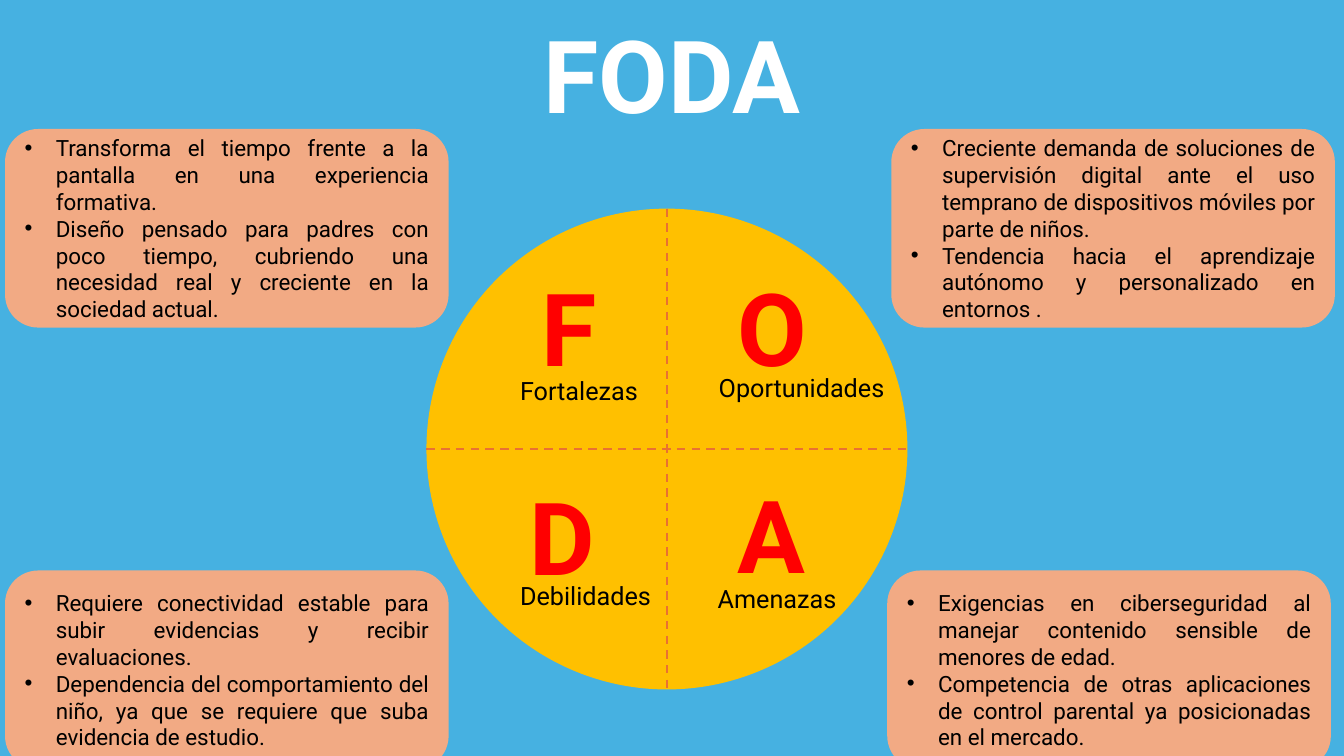
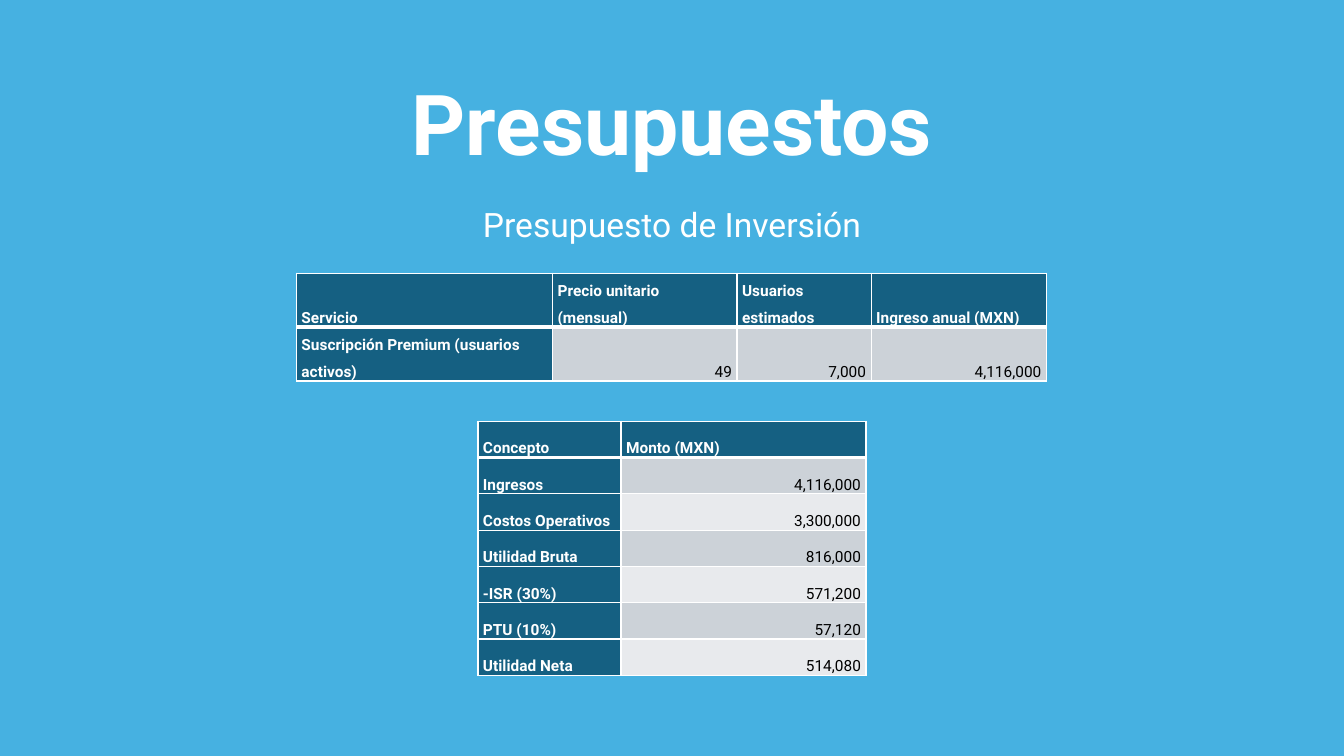
from lxml import etree
from pptx import Presentation
from pptx.dml.color import RGBColor
from pptx.enum.dml import MSO_LINE
from pptx.enum.shapes import MSO_CONNECTOR, MSO_SHAPE
from pptx.enum.text import MSO_ANCHOR, MSO_AUTO_SIZE, PP_ALIGN
from pptx.oxml.ns import qn
from pptx.util import Inches, Pt

FONT = "Roboto"
SKY = RGBColor(0x46, 0xB1, 0xE1)
PEACH = RGBColor(0xF2, 0xAA, 0x84)
GOLD = RGBColor(0xFF, 0xC0, 0x00)
ORANGE = RGBColor(0xE9, 0x71, 0x32)
RED = RGBColor(0xFF, 0x00, 0x00)
TEAL = RGBColor(0x15, 0x60, 0x82)
BANDS = (RGBColor(0xCC, 0xD2, 0xD8), RGBColor(0xE8, 0xEA, 0xED))
WHITE = RGBColor(0xFF, 0xFF, 0xFF)
BLACK = RGBColor(0x00, 0x00, 0x00)

LEFT, CENTER, RIGHT = PP_ALIGN.LEFT, PP_ALIGN.CENTER, PP_ALIGN.RIGHT
JUSTIFY = PP_ALIGN.JUSTIFY
TOP, MIDDLE, BOTTOM = MSO_ANCHOR.TOP, MSO_ANCHOR.MIDDLE, MSO_ANCHOR.BOTTOM
RECTANGLE, ROUNDED, OVAL = MSO_SHAPE.RECTANGLE, MSO_SHAPE.ROUNDED_RECTANGLE, MSO_SHAPE.OVAL
STRAIGHT, DASH = MSO_CONNECTOR.STRAIGHT, MSO_LINE.DASH
FIXED_SIZE = MSO_AUTO_SIZE.NONE

SLIDE_WIDTH, SLIDE_HEIGHT = 13.33, 7.5
TITLE_ONLY, TITLE_AND_SUBTITLE = 5, 0
CARD_WIDTH, CARD_HEIGHT = 4.4, 1.97
WHEEL_LEFT, WHEEL_TOP, WHEEL_SIZE = 4.23, 2.07, 4.77

CARDS = [
    (0.05, 1.28, [
        "Transforma el tiempo frente a la pantalla en una experiencia formativa.",
        "Diseño pensado para padres con poco tiempo, cubriendo una necesidad real y creciente en la sociedad actual.",
    ]),
    (8.84, 1.28, [
        "Creciente demanda de soluciones de supervisión digital ante el uso temprano de dispositivos móviles por parte de niños.",
        "Tendencia hacia el aprendizaje autónomo y personalizado en entornos .",
    ]),
    (0.05, 5.66, [
        "Requiere conectividad estable para subir evidencias y recibir evaluaciones.",
        "Dependencia del comportamiento del niño, ya que se requiere que suba evidencia de estudio.",
    ]),
    (8.8, 5.66, [
        "Exigencias en ciberseguridad al manejar contenido sensible de menores de edad.",
        "Competencia de otras aplicaciones de control parental ya posicionadas en el mercado.",
    ]),
]

# Letter with its left and top, then label with its left, top and width
QUADRANTS = [
    ("F", 5.27, 2.82, "Fortalezas", 5.06, 3.53, 1.84),
    ("O", 7.22, 2.82, "Oportunidades", 7.03, 3.5, 2.49),
    ("D", 5.15, 4.89, "Debilidades", 5.06, 5.57, 1.84),
    ("A", 7.22, 4.87, "Amenazas", 7.02, 5.6, 1.5),
]

INCOME = [
    ("Servicio", "Precio unitario (mensual)", "Usuarios estimados", "Ingreso anual (MXN)"),
    ("Suscripción Premium (usuarios activos)", "49", "7,000", "4,116,000"),
]

RESULTS = [
    ("Concepto", "Monto (MXN)"),
    ("Ingresos", "4,116,000"),
    ("Costos Operativos", "3,300,000"),
    ("Utilidad Bruta", "816,000"),
    ("-ISR (30%)", "571,200"),
    ("PTU (10%)", "57,120"),
    ("Utilidad Neta", "514,080"),
]


def inches(*values):
    return [Inches(value) for value in values]


def add_bullet(paragraph):
    properties = paragraph._p.get_or_add_pPr()
    properties.set("marL", str(Inches(0.31)))
    properties.set("indent", str(-Inches(0.31)))
    etree.SubElement(properties, qn("a:buFont"), typeface="Arial")
    etree.SubElement(properties, qn("a:buChar"), char="•")


def write_text(frame, *texts, size, color=BLACK, bold=False, align=LEFT,
               anchor=MIDDLE, bullets=False, line_spacing=1.0, space_after=0):
    """Fill a text frame with one paragraph for each text."""
    frame.word_wrap = True
    frame.vertical_anchor = anchor
    for index, text in enumerate(texts):
        paragraph = frame.add_paragraph() if index else frame.paragraphs[0]
        paragraph.alignment = align
        paragraph.line_spacing = line_spacing
        paragraph.space_before = Pt(0)
        paragraph.space_after = Pt(space_after)
        if bullets:
            add_bullet(paragraph)
        run = paragraph.add_run()
        run.text = text
        run.font.name = FONT
        run.font.size = Pt(size)
        run.font.bold = bold
        run.font.color.rgb = color


def fill_placeholder(placeholder, text, box, **text_format):
    """Move a placeholder to the box and write white centred text in it."""
    placeholder.left, placeholder.top, placeholder.width, placeholder.height = inches(*box)
    placeholder.text_frame.auto_size = FIXED_SIZE
    write_text(placeholder.text_frame, text, color=WHITE, align=CENTER, **text_format)


def add_title(slide, text, top, size):
    fill_placeholder(slide.shapes.title, text, (0, top, SLIDE_WIDTH, 1.89), size=size, bold=True)


def add_filled_shape(shapes, kind, box, color):
    shape = shapes.add_shape(kind, *inches(*box))
    shape.shadow.inherit = False
    shape.fill.solid()
    shape.fill.fore_color.rgb = color
    shape.line.fill.background()
    return shape


def add_dashed_line(shapes, *ends):
    line = shapes.add_connector(STRAIGHT, *inches(*ends))
    line.line.color.rgb = ORANGE
    line.line.width = Pt(1.5)
    line.line.dash_style = DASH
    etree.SubElement(line._element.spPr, qn("a:effectLst"))


def add_card(shapes, left, top, points):
    card = add_filled_shape(shapes, ROUNDED, (left, top, CARD_WIDTH, CARD_HEIGHT), PEACH)
    write_text(card.text_frame, *points, size=16, align=JUSTIFY, bullets=True)


def add_quadrant(shapes, letter, letter_left, letter_top, label, label_left, label_top, label_width):
    square = add_filled_shape(shapes, RECTANGLE, (letter_left, letter_top, 0.76, 0.84), GOLD)
    write_text(square.text_frame, letter, size=72, color=RED, bold=True)
    caption = shapes.add_textbox(*inches(label_left, label_top, label_width, 0.68))
    write_text(caption.text_frame, label, size=18)


def add_wheel(slide):
    """Draw the circle in four quarters as one group."""
    shapes = slide.shapes.add_group_shape().shapes
    right, bottom = WHEEL_LEFT + WHEEL_SIZE, WHEEL_TOP + WHEEL_SIZE
    middle_x, middle_y = WHEEL_LEFT + WHEEL_SIZE / 2, WHEEL_TOP + WHEEL_SIZE / 2
    add_filled_shape(shapes, OVAL, (WHEEL_LEFT, WHEEL_TOP, WHEEL_SIZE, WHEEL_SIZE), GOLD)
    add_dashed_line(shapes, middle_x, WHEEL_TOP, middle_x, bottom)
    add_dashed_line(shapes, WHEEL_LEFT, middle_y, right, middle_y)
    for quadrant in QUADRANTS:
        add_quadrant(shapes, *quadrant)


def set_borders(cell, bottom_width):
    """Give a cell white borders; they must come before its fill in the XML."""
    properties = cell._tc.get_or_add_tcPr()
    widths = {"a:lnL": 1, "a:lnR": 1, "a:lnT": 1, "a:lnB": bottom_width}
    for index, (tag, width) in enumerate(widths.items()):
        border = etree.Element(qn(tag), w=str(Pt(width)))
        fill = etree.SubElement(border, qn("a:solidFill"))
        etree.SubElement(fill, qn("a:srgbClr"), val=str(WHITE))
        properties.insert(index, border)


def format_cell(cell, text, row, column):
    is_heading = row == 0 or column == 0
    cell.margin_left = cell.margin_right = Inches(0.05)
    cell.margin_top = cell.margin_bottom = 0
    cell.vertical_anchor = BOTTOM
    cell.fill.solid()
    cell.fill.fore_color.rgb = TEAL if is_heading else BANDS[(row - 1) % 2]
    set_borders(cell, bottom_width=3 if row == 0 else 1)
    write_text(cell.text_frame, text, size=11, bold=is_heading, anchor=BOTTOM,
               color=WHITE if is_heading else BLACK,
               align=LEFT if is_heading else RIGHT,
               line_spacing=1.5, space_after=8)


def add_budget_table(slide, rows, left, top, column_widths, row_height):
    box = inches(left, top, sum(column_widths), row_height * len(rows))
    table = slide.shapes.add_table(len(rows), len(column_widths), *box).table
    table.horz_banding = False
    for column, width in zip(table.columns, column_widths):
        column.width = Inches(width)
    for row, texts in enumerate(rows):
        table.rows[row].height = Inches(row_height)
        for column, text in enumerate(texts):
            format_cell(table.cell(row, column), text, row, column)


def build_swot_slide(presentation):
    slide = presentation.slides.add_slide(presentation.slide_layouts[TITLE_ONLY])
    add_title(slide, "FODA", top=-0.22, size=72)
    for card in CARDS:
        add_card(slide.shapes, *card)
    add_wheel(slide)


def build_budget_slide(presentation):
    slide = presentation.slides.add_slide(presentation.slide_layouts[TITLE_AND_SUBTITLE])
    add_title(slide, "Presupuestos", top=0.26, size=60)
    fill_placeholder(slide.placeholders[1], "Presupuesto de Inversión",
                     (1.33, 1.97, 10.67, 0.5), size=24, anchor=TOP)
    add_budget_table(slide, INCOME, 2.94, 2.71, (2.54, 1.83, 1.33, 1.74), 0.52)
    add_budget_table(slide, RESULTS, 4.74, 4.18, (1.42, 2.43), 0.36)


def main():
    presentation = Presentation()
    presentation.slide_width = Inches(SLIDE_WIDTH)
    presentation.slide_height = Inches(SLIDE_HEIGHT)
    background = presentation.slide_master.background.fill
    background.solid()
    background.fore_color.rgb = SKY
    build_swot_slide(presentation)
    build_budget_slide(presentation)
    presentation.save("out.pptx")


if __name__ == "__main__":
    main()
